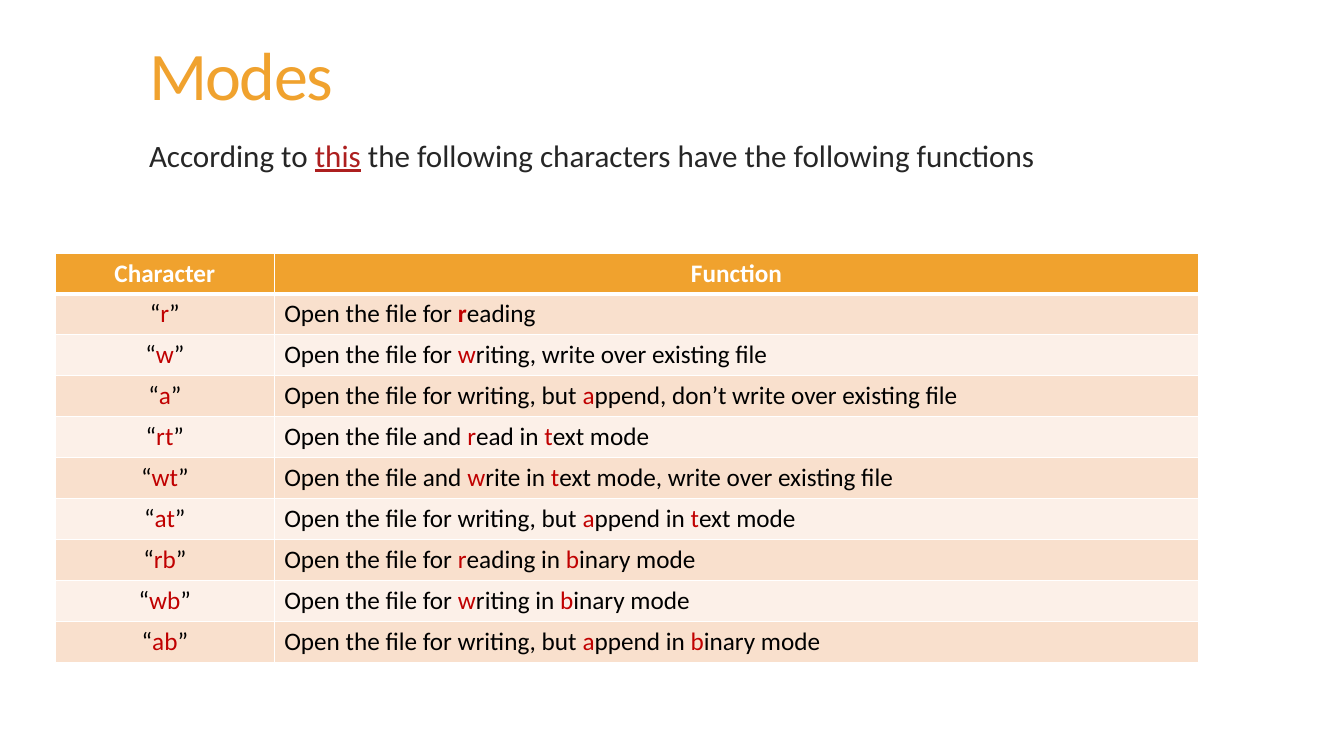
from dataclasses import dataclass

import lxml.etree
import pptx
import pptx.dml.color
import pptx.enum.text
import pptx.oxml.ns
import pptx.util
from pptx.util import Inches


@dataclass(frozen=True)
class Theme:
    font: str = "Calibri"
    accent: str = "F0A22E"
    body: str = "262626"
    link: str = "AD1F1F"
    text: str = "000000"
    highlight: str = "C00000"
    white: str = "FFFFFF"
    bands: tuple = ("F9E0CD", "FCF0E8")
    title_size: float = 48.6
    body_size: float = 22.2
    table_size: float = 18


THEME = Theme()
MARK = "*"  # surrounds highlighted letters
HEADER = ("Character", "Function")
MODES = (
    ("r", "Open the file for *r*eading"),
    ("w", "Open the file for *w*riting, write over existing file"),
    ("a", "Open the file for writing, but *a*ppend, don’t write over existing file"),
    ("rt", "Open the file and *r*ead in *t*ext mode"),
    ("wt", "Open the file and *w*rite in *t*ext mode, write over existing file"),
    ("at", "Open the file for writing, but *a*ppend in *t*ext mode"),
    ("rb", "Open the file for *r*eading in *b*inary mode"),
    ("wb", "Open the file for *w*riting in *b*inary mode"),
    ("ab", "Open the file for writing, but *a*ppend in *b*inary mode"),
)


def rgb(color):
    return pptx.dml.color.RGBColor.from_string(color)


def write_marked(paragraph, text, size, color, highlight):
    """Write text, colour its marked parts, and return the marked runs."""
    paragraph.font.name = THEME.font
    paragraph.font.size = pptx.util.Pt(size)
    marked_runs = []
    for index, part in enumerate(text.split(MARK)):
        run = paragraph.add_run()
        run.text = part
        run.font.color.rgb = rgb(highlight if index % 2 else color)
        if index % 2:
            marked_runs.append(run)
    return marked_runs


def place_title(slide, text, left, top, width, height):
    title = slide.shapes.title
    title.left, title.top, title.width, title.height = left, top, width, height
    frame = title.text_frame
    frame.word_wrap = True
    frame.vertical_anchor = pptx.enum.text.MSO_ANCHOR.MIDDLE
    paragraph = frame.paragraphs[0]
    paragraph.alignment = pptx.enum.text.PP_ALIGN.LEFT
    paragraph.line_spacing = 0.85
    write_marked(paragraph, text, THEME.title_size, THEME.accent, THEME.accent)
    paragraph.runs[0].font._element.set("spc", "-120")


def add_introduction(slide, text, left, top, width, height):
    frame = slide.shapes.add_textbox(left, top, width, height).text_frame
    frame.word_wrap = True
    paragraph = frame.paragraphs[0]
    paragraph.line_spacing = 0.85
    for run in write_marked(paragraph, text, THEME.body_size, THEME.body, THEME.link):
        run.font.underline = True


def style_cell(cell, fill, bottom_width=1):
    """Give the cell white borders, then its fill, as the schema orders them."""
    properties = cell._tc.get_or_add_tcPr()
    qualify = pptx.oxml.ns.qn
    for side, points in (("L", 1), ("R", 1), ("T", 1), ("B", bottom_width)):
        line = lxml.etree.SubElement(properties, qualify(f"a:ln{side}"),
                                     w=str(pptx.util.Pt(points)))
        solid = lxml.etree.SubElement(line, qualify("a:solidFill"))
        lxml.etree.SubElement(solid, qualify("a:srgbClr"), val=THEME.white)
    cell.fill.solid()
    cell.fill.fore_color.rgb = rgb(fill)


def add_modes_table(slide, left, top, width, height):
    row_count = len(MODES) + 1
    table = slide.shapes.add_table(row_count, 2, left, top, width, height).table
    table.columns[0].width = Inches(2.17)
    table.columns[1].width = width - Inches(2.17)
    center = pptx.enum.text.PP_ALIGN.CENTER

    for cell, heading in zip(table.rows[0].cells, HEADER):
        style_cell(cell, THEME.accent, bottom_width=3)
        paragraph = cell.text_frame.paragraphs[0]
        paragraph.alignment = center
        write_marked(paragraph, heading, THEME.table_size, THEME.white, THEME.white)
        paragraph.font.bold = True

    for row, (mode, function) in enumerate(MODES, start=1):
        for column, text in enumerate((f"“{MARK}{mode}{MARK}”", function)):
            cell = table.cell(row, column)
            style_cell(cell, THEME.bands[(row - 1) % 2])
            paragraph = cell.text_frame.paragraphs[0]
            if column == 0:
                paragraph.alignment = center
            marked = write_marked(paragraph, text, THEME.table_size,
                                  THEME.text, THEME.highlight)
            if (row, column) == (1, 1):
                marked[0].font.bold = True


def add_modes_slide(presentation):
    slide = presentation.slides.add_slide(presentation.slide_layouts[5])
    place_title(slide, "Modes", Inches(1.38), Inches(0.4), Inches(10.6), Inches(0.79))
    add_introduction(
        slide, "According to *this* the following characters have the following functions",
        Inches(1.38), Inches(1.36), Inches(9.4), Inches(0.58))
    add_modes_table(slide, Inches(0.55), Inches(2.51), Inches(11.34), Inches(4.06))


def main():
    presentation = pptx.Presentation()
    presentation.slide_width = Inches(13.33)
    presentation.slide_height = Inches(7.5)
    add_modes_slide(presentation)
    presentation.save("out.pptx")


if __name__ == "__main__":
    main()
